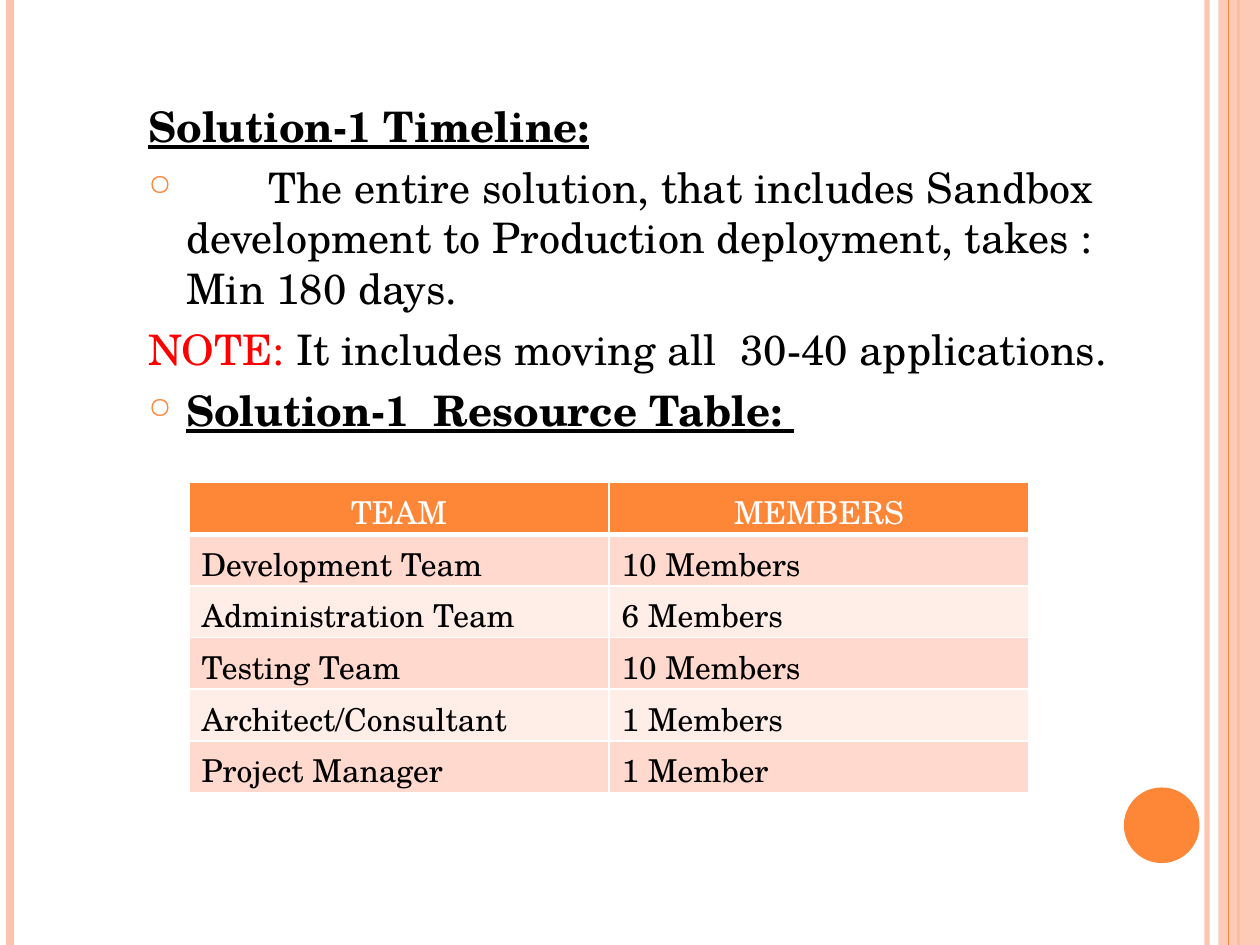
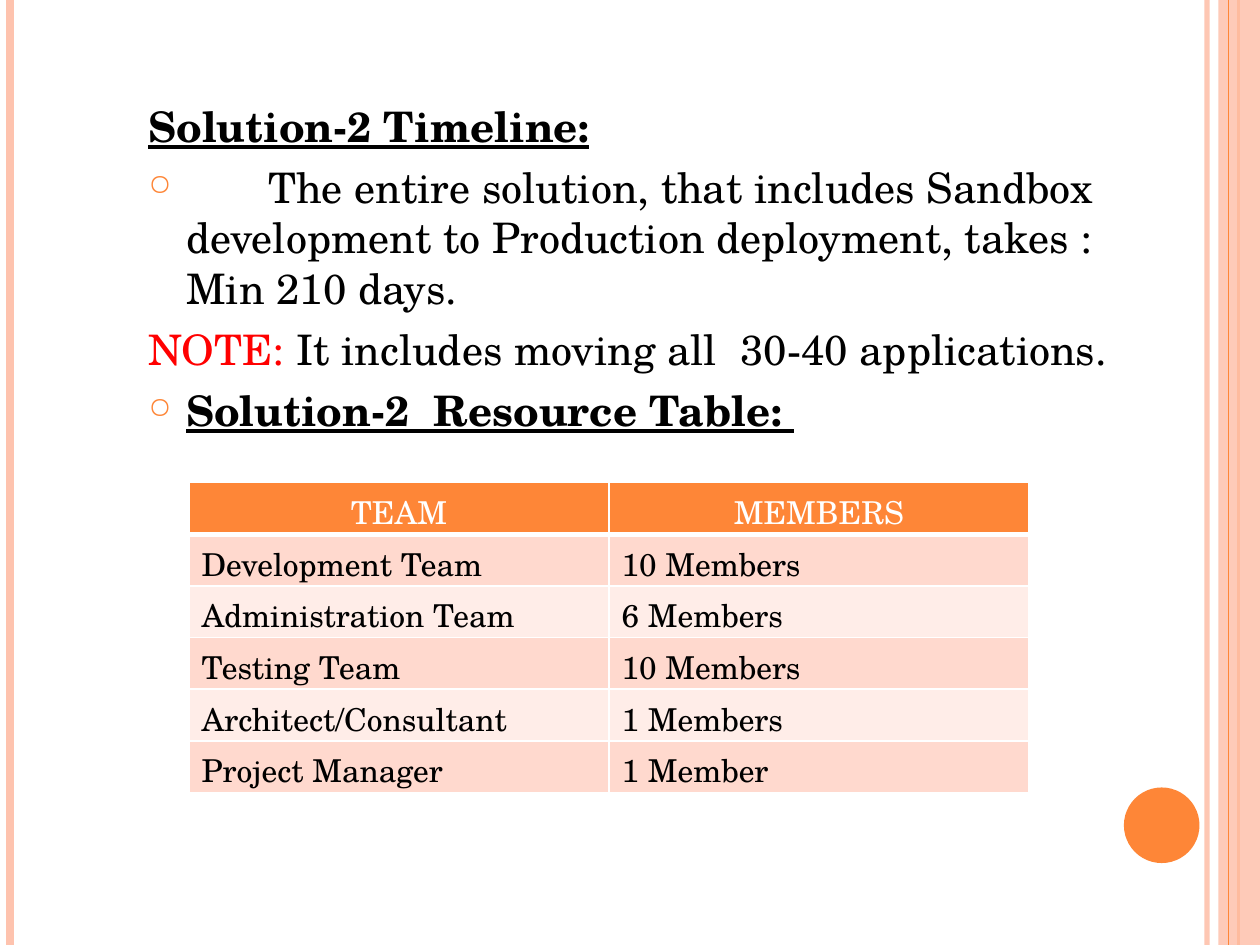
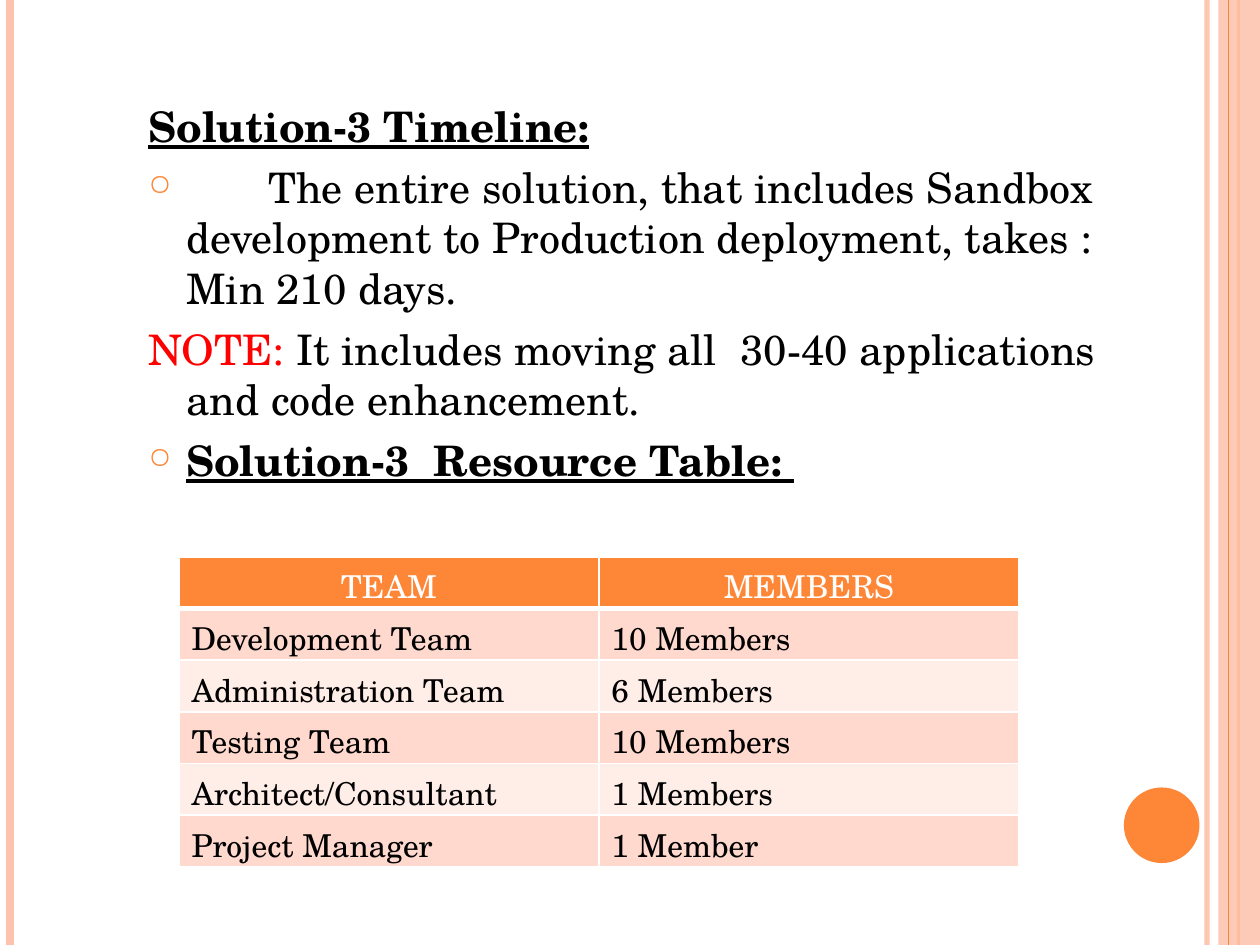
from lxml.etree import SubElement as Sub
from pptx import Presentation
from pptx.dml.color import RGBColor as Rgb
from pptx.enum.shapes import MSO_CONNECTOR as Conn, MSO_SHAPE as Geo
from pptx.enum.text import MSO_AUTO_SIZE as Auto, PP_ALIGN as Align
from pptx.oxml.ns import qn
from pptx.util import Inches as Inch, Pt

# Content
PLANS = [
    dict(num=1, days=180, tail=".", grid=(1.5, 3.83), high=3.57),
    dict(num=2, days=210, tail=".", grid=(1.5, 3.83), high=3.57),
    dict(num=3, days=210, tail=" and code enhancement.", grid=(1.42, 4.42), high=3.97),
]
TEAMS = [
    ("TEAM", "MEMBERS"),
    ("Development Team", "10 Members"),
    ("Administration Team", "6 Members"),
    ("Testing Team", "10 Members"),
    ("Architect/Consultant", "1 Members"),
    ("Project Manager", "1 Member"),
]

# Shared look
WIDE, HIGH = 10, 7.5
FONT = "TeX Gyre Schola"
HUES = dict(main="FE8637", pale="FEC3AE", odd="FFD9CE", even="FFEDE8",
            ink="000000", note="FF0000", white="FFFFFF")
# Each rule: x, colour, width in points, opacity in percent
RULES = [(9.58, "pale", 3, 93), (0.08, "pale", 4.5, 100), (9.83, "main", 1.5, 100)]
SEAM = (9.75, "main", 0.75, 100)
COL, ROW = WIDE / 3, 0.41
HANG, TAB = 0.3, 0.95


def hue(name):
    return Rgb.from_string(HUES[name])


def fade(node, share):
    """Set the opacity of every colour below the node."""
    if share < 100:
        for clr in node.iter(qn("a:srgbClr")):
            Sub(clr, qn("a:alpha"), val=str(share * 1000))


def write(para, text, size=24, color="ink", bold=False, line=False):
    run = para.add_run()
    run.text = text
    font = run.font
    font.name, font.size, font.bold, font.underline = FONT, Pt(size), bold, line
    font.color.rgb = hue(color)


def rule(slide, x, color, width, share):
    line = slide.shapes.add_connector(Conn.STRAIGHT, Inch(x), 0, Inch(x), Inch(HIGH))
    line.line.color.rgb = hue(color)
    line.line.width = Pt(width)
    prop = line._element.spPr
    fade(prop, share)
    Sub(prop, qn("a:effectLst"))


def solid(slide, geo, box, color, share=100):
    part = slide.shapes.add_shape(geo, *map(Inch, box))
    part.shadow.inherit = False
    part.fill.solid()
    part.fill.fore_color.rgb = hue(color)
    part.line.fill.background()
    fade(part._element.spPr, share)


def frame(slide):
    for item in RULES:
        rule(slide, *item)
    solid(slide, Geo.RECTANGLE, (9.67, 0, 0.33, HIGH), "pale", 87)
    rule(slide, *SEAM)
    solid(slide, Geo.OVAL, (8.92, 6.25, 0.6, 0.6), "main")


def hang(para, mark=False, tab=None):
    """Space and indent a paragraph, with a ring and a tab stop if asked."""
    para.space_before = Pt(6)
    prop = para._p.get_or_add_pPr()
    prop.set("marL", str(Inch(HANG)))
    prop.set("indent", str(-Inch(HANG)))
    if mark:
        Sub(Sub(prop, qn("a:buClr")), qn("a:srgbClr"), val=HUES["main"])
        Sub(prop, qn("a:buSzPct"), val="70000")
        Sub(prop, qn("a:buChar"), char="○")
    if tab:
        Sub(Sub(prop, qn("a:tabLst")), qn("a:tab"), pos=str(Inch(tab)), algn="l")


def story(slide, plan):
    box = slide.shapes.add_textbox(*map(Inch, (1.08, 0.75, 7.83, plan["high"])))
    body = box.text_frame
    body.word_wrap = True
    body.auto_size = Auto.SHAPE_TO_FIT_TEXT
    head, time, note, last = [body.paragraphs[0]] + [body.add_paragraph() for _ in range(3)]
    name = f"Solution-{plan['num']}"
    write(head, f"{name} Timeline:", bold=True, line=True)
    hang(time, mark=True, tab=TAB)
    write(time, "\tThe entire solution, that includes Sandbox development to "
                f"Production deployment, takes : Min {plan['days']} days.")
    hang(note)
    write(note, "NOTE: ", color="note")
    write(note, f"It includes moving all  30-40 applications{plan['tail']}")
    hang(last, mark=True)
    write(last, f"{name}  Resource Table: ", bold=True, line=True)


def edge(cell, base):
    """Draw white borders, the lower one base points wide."""
    prop = cell._tc.get_or_add_tcPr()
    for side, width in zip("LRTB", (1, 1, 1, base)):
        line = Sub(prop, qn(f"a:ln{side}"), w=str(Pt(width)))
        Sub(Sub(line, qn("a:solidFill")), qn("a:srgbClr"), val=HUES["white"])


def staff(slide, left, top):
    rows, cols = len(TEAMS), len(TEAMS[0])
    size = (left, top, cols * COL, rows * ROW)
    table = slide.shapes.add_table(rows, cols, *map(Inch, size)).table
    table.horz_banding = False
    for r, row in enumerate(TEAMS):
        fill = "main" if r == 0 else "odd" if r % 2 else "even"
        for c, text in enumerate(row):
            cell = table.cell(r, c)
            edge(cell, 1 if r else 3)
            cell.fill.solid()
            cell.fill.fore_color.rgb = hue(fill)
            para = cell.text_frame.paragraphs[0]
            para.alignment = Align.LEFT if r else Align.CENTER
            write(para, text, size=18, color="ink" if r else "white")


def main():
    deck = Presentation()
    deck.slide_width, deck.slide_height = Inch(WIDE), Inch(HIGH)
    for plan in PLANS:
        slide = deck.slides.add_slide(deck.slide_layouts[6])
        frame(slide)
        story(slide, plan)
        staff(slide, *plan["grid"])
    deck.save("out.pptx")


if __name__ == "__main__":
    main()
